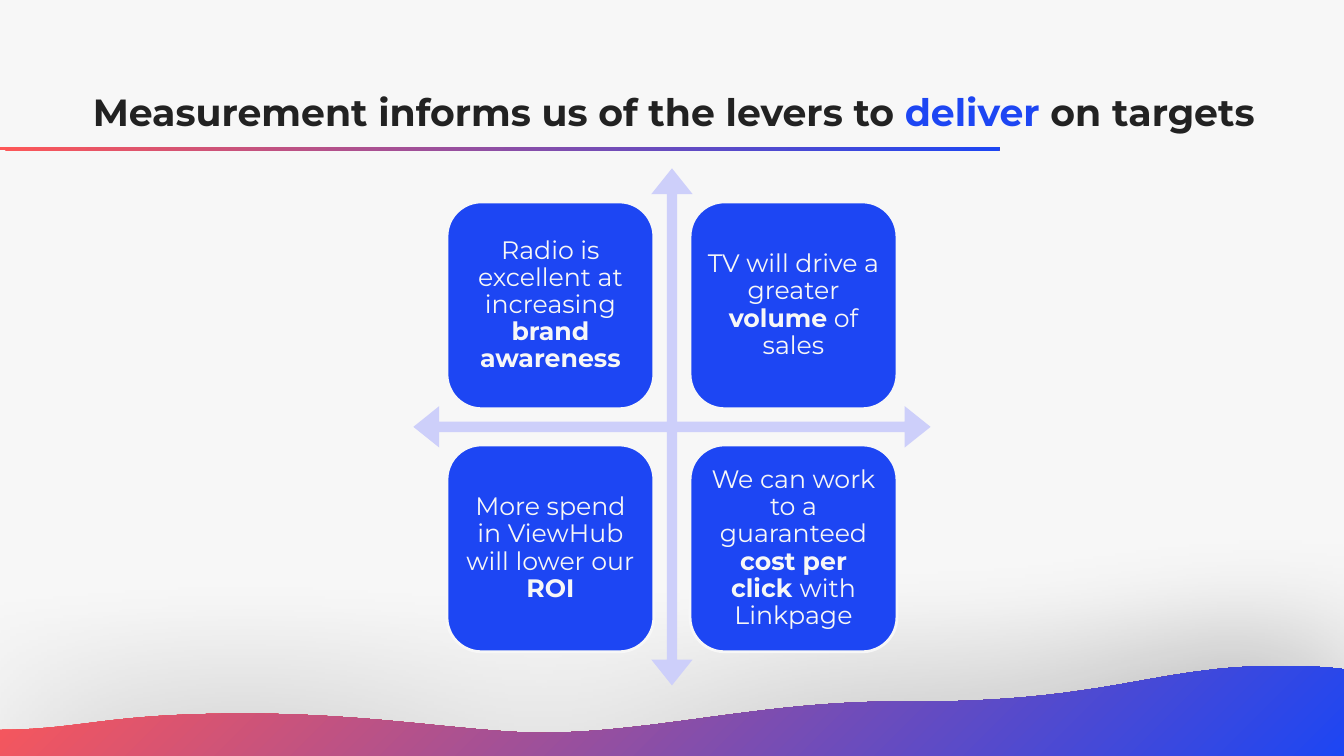
from lxml import etree
from pptx import Presentation
from pptx.dml.color import RGBColor
from pptx.enum.shapes import MSO_SHAPE
from pptx.enum.text import MSO_ANCHOR, PP_ALIGN
from pptx.oxml.ns import qn
from pptx.util import Inches, Pt

RECT, ROUND_RECT, QUAD_ARROW = (
    MSO_SHAPE.RECTANGLE, MSO_SHAPE.ROUNDED_RECTANGLE, MSO_SHAPE.QUAD_ARROW)
MIDDLE, CENTER = MSO_ANCHOR.MIDDLE, PP_ALIGN.CENTER
WIDTH, HEIGHT = 13.33, 7.5
BLUE, RED, PALE, INK, LAVENDER = "1D46F3", "FE5757", "F7F7F7", "222222", "CDCFFA"
FONT = "Montserrat"

TITLE = [("Measurement informs us of the levers to ", INK),
         ("deliver ", BLUE), ("on targets", INK)]
CARDS = [
    [("Radio is excellent at increasing ", False), ("brand awareness", True)],
    [("TV will drive a greater ", False), ("volume", True), (" of sales", False)],
    [("More spend in ViewHub will lower our ", False), ("ROI", True)],
    [("We can work to a guaranteed ", False), ("cost per click ", True),
     ("with Linkpage", False)],
]
WAVE_START = (0, 7.24)
WAVE_CURVES = [
    ((0.79, 7.24), (1.05, 7.08), (2.36, 7.08)),
    ((3.67, 7.07), (4.65, 7.27), (5.4, 7.27)),
    ((6.57, 7.26), (7.61, 6.94), (9.04, 6.96)),
    ((11.02, 6.97), (11.52, 6.58), (12.77, 6.61)),
    ((12.9, 6.61), (13.1, 6.61), (WIDTH, 6.64)),
]


def rgb(value):
    return RGBColor.from_string(value)


def fill_radial(sp):
    """Blue in the bottom right corner, fading to red."""
    sp.fill.gradient()
    for stop, color, position in zip(sp.fill.gradient_stops, (BLUE, RED), (0, 1)):
        stop.color.rgb = rgb(color)
        stop.position = position
    grad = sp._element.spPr.find(qn("a:gradFill"))
    grad.remove(grad.find(qn("a:lin")))
    radial = etree.SubElement(grad, qn("a:path"), path="circle")
    etree.SubElement(radial, qn("a:fillToRect"), l="100000", t="100000")
    sp.line.fill.background()
    sp.shadow.inherit = False


def add_solid(slide, kind, box, color):
    sp = slide.shapes.add_shape(kind, *map(Inches, box))
    sp.shadow.inherit = False
    sp.fill.solid()
    sp.fill.fore_color.rgb = rgb(color)
    sp.line.fill.background()
    return sp


def set_frame(tf, inset, **settings):
    settings.update(dict.fromkeys(
        ("margin_left", "margin_top", "margin_right", "margin_bottom"), Inches(inset)))
    for name, value in settings.items():
        setattr(tf, name, value)


def add_run(p, text, size, color, bold):
    r = p.add_run()
    r.text = text
    for name, value in {"name": FONT, "size": Pt(size), "bold": bold}.items():
        setattr(r.font, name, value)
    r.font.color.rgb = rgb(color)


def add_heading(slide, box):
    x, y, w, h = box
    rule = slide.shapes.add_shape(RECT, *map(Inches, (0, y + 0.58, 9.91, 0.03)))
    fill_radial(rule)
    tf = slide.shapes.add_textbox(*map(Inches, box)).text_frame
    set_frame(tf, 0, word_wrap=True)
    for text, color in TITLE:
        add_run(tf.paragraphs[0], text, 27, color, True)


def bezier(start, c1, c2, end, steps=24):
    for i in range(1, steps + 1):
        t = i / steps
        yield tuple((1 - t) ** 3 * a + 3 * t * (1 - t) ** 2 * b
                    + 3 * t ** 2 * (1 - t) * c + t ** 3 * d
                    for a, b, c, d in zip(start, c1, c2, end))


def add_wave(slide):
    points = [WAVE_START]
    for curve in WAVE_CURVES:
        points.extend(bezier(points[-1], *curve))
    points += [(WIDTH, HEIGHT), (0, HEIGHT)]
    points = [(Inches(x), Inches(y)) for x, y in points]
    builder = slide.shapes.build_freeform(*points[0])
    builder.add_line_segments(points[1:], close=True)
    sp = builder.convert_to_shape()
    fill_radial(sp)
    effects = sp._element.spPr.find(qn("a:effectLst"))
    shadow = etree.SubElement(effects, qn("a:outerShdw"), blurRad=str(Pt(100)),
                              dist="0", dir="0", algn="ctr", rotWithShape="0")
    color = etree.SubElement(shadow, qn("a:srgbClr"), val="000000")
    etree.SubElement(color, qn("a:alpha"), val="40000")


def add_card(slide, box, runs):
    sp = add_solid(slide, ROUND_RECT, box, BLUE)
    sp.line.color.rgb = rgb(PALE)
    sp.line.width = Pt(2)
    set_frame(sp.text_frame, 0.07, word_wrap=True, vertical_anchor=MIDDLE)
    p = sp.text_frame.paragraphs[0]
    p.alignment, p.line_spacing = CENTER, 0.9
    for text, bold in runs:
        add_run(p, text, 18, PALE, bold)


def add_matrix(slide, x, y, side):
    """Four cards in the quarters of a four-way arrow."""
    arrow = add_solid(slide, QUAD_ARROW, (x, y, side, side), LAVENDER)
    for i, value in enumerate((0.02, 0.04, 0.05)):
        arrow.adjustments[i] = value
    card, margin = 0.4 * side, 0.065 * side
    step = side - 2 * margin - card
    for i, runs in enumerate(CARDS):
        row, col = divmod(i, 2)
        add_card(slide, (x + margin + col * step, y + margin + row * step, card, card),
                 runs)


def main():
    prs = Presentation()
    prs.slide_width, prs.slide_height = Inches(WIDTH), Inches(HEIGHT)
    slide = prs.slides.add_slide(prs.slide_layouts[6])
    slide.background.fill.solid()
    slide.background.fill.fore_color.rgb = rgb(PALE)
    add_heading(slide, (0.92, 0.88, 12.08, 0.45))
    add_wave(slide)
    add_matrix(slide, 4.1, 1.67, 5.13)
    prs.save("out.pptx")


if __name__ == "__main__":
    main()
